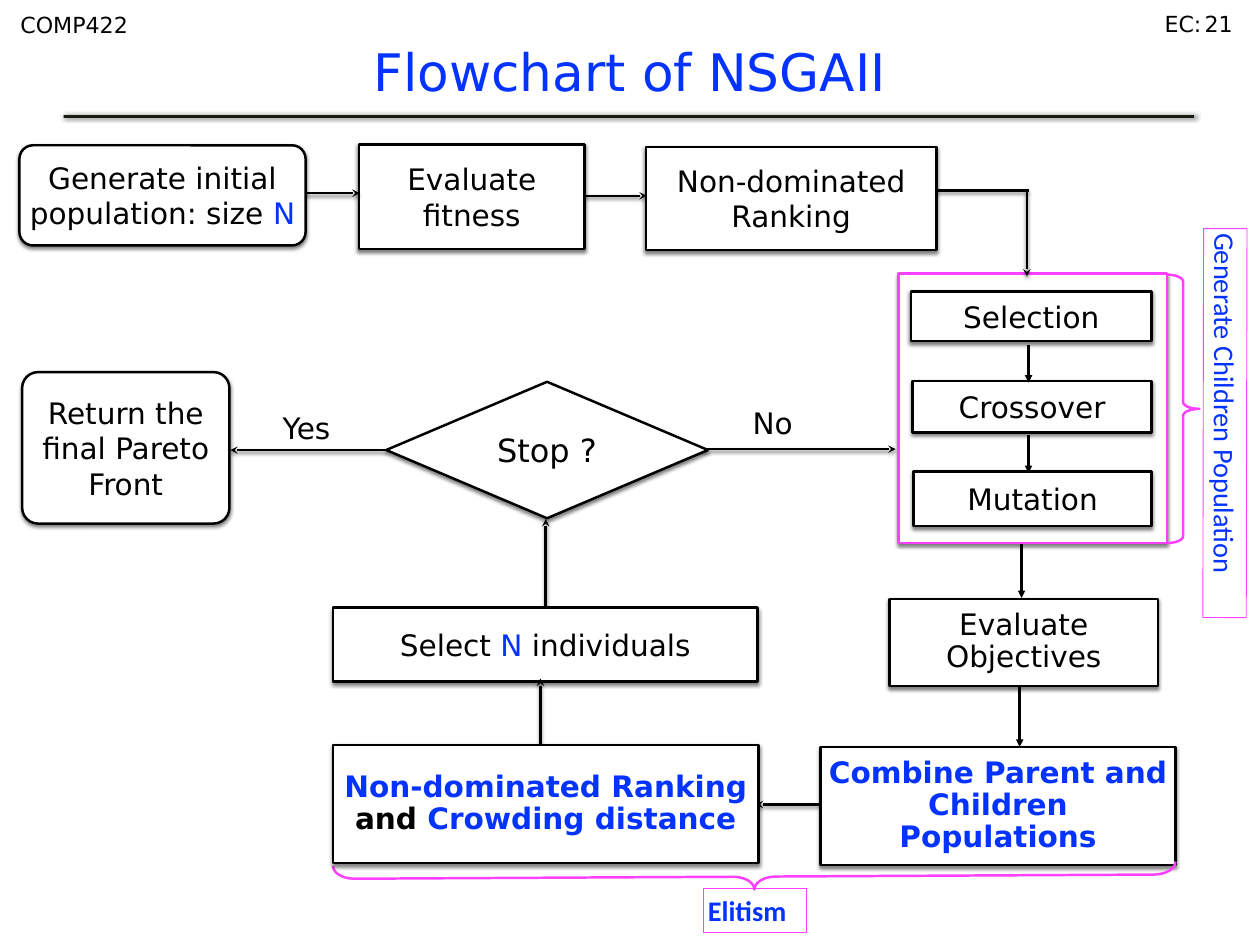
from dataclasses import dataclass

from lxml import etree
from pptx import Presentation
from pptx import util as u
from pptx.dml import color
from pptx.enum import shapes, text
from pptx.oxml import ns

Kind = shapes.MSO_SHAPE
Align = text.PP_ALIGN
Anchor = text.MSO_ANCHOR


@dataclass(frozen=True)
class Theme:
    black: str = "000000"
    white: str = "FFFFFF"
    blue: str = "0433FF"
    pink: str = "FF40FF"
    rule: str = "171C13"
    font: str = "DejaVu Sans"
    label_font: str = "Calibri"
    title: float = 42
    decision: float = 26
    body: float = 24
    label: float = 23
    header: float = 18
    line: float = 2
    thin_line: float = 0.75


THEME = Theme()
Run = tuple[str, str]  # wording and colour


@dataclass(frozen=True)
class Step:
    """A filled, shadowed box of the flowchart."""
    left: float
    top: float
    width: float
    height: float
    runs: tuple[Run, ...] = ()
    kind: Kind = Kind.RECTANGLE
    corner: float | None = None
    outline: str = THEME.black
    size: float = THEME.body
    bold: bool = False
    spacing: float = 1.0


@dataclass(frozen=True)
class Label:
    """A text box, with a thin outline if one is named."""
    left: float
    top: float
    width: float
    height: float
    wording: str
    size: float = THEME.header
    font: str = THEME.font
    colour: str = THEME.black
    bold: bool = False
    align: Align = Align.LEFT
    anchor: Anchor = Anchor.TOP
    inset: float = 3.6
    outline: str | None = None
    rotation: float = 0
    wrap: bool = True


@dataclass(frozen=True)
class Arrow:
    start: tuple[float, float]
    end: tuple[float, float]
    head: str | None = "stealth"
    shadow: bool = True


@dataclass(frozen=True)
class Brace:
    left: float
    top: float
    width: float
    height: float
    curl: float
    rotation: float = 0


def plain(wording: str, colour: str = THEME.black) -> tuple[Run, ...]:
    return ((wording, colour),)


def rgb(value: str) -> color.RGBColor:
    return color.RGBColor.from_string(value)


def set_line(line, colour: str, width: float = THEME.line) -> None:
    line.color.rgb = rgb(colour)
    line.width = u.Pt(width)


def set_shadow(shape, blur: float = 0, distance: float = 0, angle: int = 0) -> None:
    """Give the shape a half-transparent shadow, or none when blur is 0."""
    effects = etree.SubElement(shape.element.spPr, ns.qn("a:effectLst"))
    if blur:
        outer = etree.SubElement(
            effects, ns.qn("a:outerShdw"), blurRad=str(u.Pt(blur)),
            dist=str(u.Pt(distance)), dir=str(angle * 60000), rotWithShape="0")
        tint = etree.SubElement(outer, ns.qn("a:srgbClr"), val=THEME.black)
        etree.SubElement(tint, ns.qn("a:alpha"), val="50000")


def write_text(shape, runs: tuple[Run, ...], *, size: float, font: str = THEME.font,
               bold: bool = False, align: Align = Align.CENTER,
               anchor: Anchor = Anchor.MIDDLE, inset: float = 4.32,
               spacing: float = 1.0, wrap: bool = True) -> None:
    frame = shape.text_frame
    frame.auto_size = text.MSO_AUTO_SIZE.NONE
    frame.word_wrap = wrap
    frame.vertical_anchor = anchor
    frame.margin_left = frame.margin_right = u.Pt(inset)
    frame.margin_top = frame.margin_bottom = u.Pt(inset)
    paragraph = frame.paragraphs[0]
    paragraph.alignment = align
    paragraph.line_spacing = spacing
    for wording, colour in runs:
        run = paragraph.add_run()
        run.text = wording
        run.font.size = u.Pt(size)
        run.font.name = font
        run.font.bold = bold
        run.font.color.rgb = rgb(colour)


def bounds(part: Step | Label | Brace) -> list[u.Pt]:
    return [u.Pt(value) for value in (part.left, part.top, part.width, part.height)]


def draw_step(slide, step: Step) -> None:
    shape = slide.shapes.add_shape(step.kind, *bounds(step))
    if step.corner is not None:
        shape.adjustments[0] = step.corner
    shape.fill.solid()
    shape.fill.fore_color.rgb = rgb(THEME.white)
    set_line(shape.line, step.outline)
    set_shadow(shape, 3, 2, 90)
    if step.runs:
        write_text(shape, step.runs, size=step.size, bold=step.bold, spacing=step.spacing)


def draw_label(slide, label: Label) -> None:
    shape = slide.shapes.add_textbox(*bounds(label))
    shape.rotation = label.rotation
    if label.outline:
        set_line(shape.line, label.outline, THEME.thin_line)
    write_text(shape, plain(label.wording, label.colour), size=label.size, font=label.font,
               bold=label.bold, align=label.align, anchor=label.anchor,
               inset=label.inset, wrap=label.wrap)


def draw_arrow(slide, arrow: Arrow) -> None:
    ends = [u.Pt(value) for value in (*arrow.start, *arrow.end)]
    connector = slide.shapes.add_connector(shapes.MSO_CONNECTOR.STRAIGHT, *ends)
    set_line(connector.line, THEME.black)
    if arrow.head:
        etree.SubElement(connector.element.spPr.find(ns.qn("a:ln")),
                         ns.qn("a:tailEnd"), type=arrow.head)
    set_shadow(connector, *((3, 2, 90) if arrow.shadow else ()))


def draw_brace(slide, brace: Brace) -> None:
    shape = slide.shapes.add_shape(Kind.RIGHT_BRACE, *bounds(brace))
    shape.adjustments[0] = brace.curl
    shape.rotation = brace.rotation
    shape.fill.background()
    set_line(shape.line, THEME.pink)
    shape.shadow.inherit = False


DRAW = {Step: draw_step, Label: draw_label, Arrow: draw_arrow, Brace: draw_brace}

HEADER = (
    Label(11.5, 4.3, 260.6, 31.7, "COMP422", inset=5),
    Label(887.8, 5, 92.2, 29.5, "EC:", align=Align.RIGHT),
    Label(965.5, 5, 49.7, 29.5, "21", align=Align.CENTER),
)
CAPTION = dict(size=THEME.label, font=THEME.label_font, colour=THEME.blue, outline=THEME.pink)
ANSWER = dict(size=THEME.body, align=Align.CENTER, anchor=Anchor.MIDDLE, inset=4.32, wrap=False)

# Back to front: some boxes cover the ends of their arrows
FLOWCHART = (
    Arrow((828.7, 536.4), (828.7, 607), "triangle", False),
    Arrow((830.2, 427.7), (830.2, 486), "triangle", False),
    Step(722.9, 486.7, 218.2, 70.6, plain("Evaluate Objectives"), spacing=0.9),
    Arrow((525.6, 365), (727.9, 365)),
    Arrow((443.5, 492.5), (443.5, 421.9)),
    Arrow((314.6, 365.8), (187.2, 365.8)),
    Arrow((468.7, 159.1), (525.6, 159.1)),
    Step(291.6, 117.4, 183.6, 85, plain("Evaluate fitness")),
    Step(313.9, 310.3, 261.4, 110.9, plain("Stop ?"), Kind.DIAMOND, size=THEME.decision),
    Step(18, 302.4, 168.5, 123.1, plain("Return the final Pareto Front"),
         Kind.ROUNDED_RECTANGLE, 0.105),
    Arrow((229.7, 157), (292.3, 157)),
    Step(15.8, 118.1, 232.6, 81.4,
         (("Generate initial population: size ", THEME.black), ("N", THEME.blue)),
         Kind.ROUNDED_RECTANGLE, 0.136),
    Label(224.6, 329, 49, 36.7, "Yes", **ANSWER),
    Label(607, 325.4, 41.8, 36.7, "No", **ANSWER),
    # Children population
    Step(730.1, 222.5, 218.2, 218.9, outline=THEME.pink),
    Step(740.2, 236.9, 195.8, 40.3, plain("Selection")),
    Step(741.6, 309.6, 194.4, 41.8, plain("Crossover")),
    Step(742.3, 383, 193.7, 44.6, plain("Mutation")),
    Arrow((835.9, 280.1), (835.9, 311), "triangle", False),
    Arrow((835.9, 353.5), (835.9, 384.5), "triangle", False),
    Arrow((834.5, 154.8), (834.5, 224.6)),
    Arrow((713.5, 154.8), (835.9, 154.8), None),
    Step(524.9, 119.5, 236.2, 83.5, plain("Non-dominated Ranking")),
    Step(270.7, 493.9, 344.9, 59.8, (("Select ", THEME.black), ("N", THEME.blue),
                                     (" individuals", THEME.black))),
    Arrow((680.4, 653.8), (614.2, 653.8)),
    Arrow((439.2, 613.4), (439.2, 551.5)),
    Label(837.4, 326.2, 316.1, 35.3, "Generate Children Population", rotation=90.1, **CAPTION),
    Brace(948.2, 223.2, 26.6, 218.2, 0.21),
    # Elitism
    Step(666.7, 607, 288.7, 95.8, plain("Combine Parent and Children Populations", THEME.blue),
         bold=True, spacing=0.9),
    Brace(602.6, 370.1, 20.9, 684.7, 0.83, 89.7),
    Label(571.7, 722.2, 83.5, 35.3, "Elitism", bold=True, **CAPTION),
    Step(270.7, 605.5, 345.6, 95.8,
         (("Non-dominated Ranking ", THEME.blue), ("and", THEME.black),
          (" Crowding distance", THEME.blue)), bold=True, spacing=0.9),
)


def draw_title(slide) -> None:
    title = slide.shapes.title
    title.left, title.top, title.width, title.height = map(u.Pt, (-2.2, 32.4, 1028.2, 61.2))
    write_text(title, plain("Flowchart of NSGAII", THEME.blue), size=THEME.title,
               anchor=Anchor.TOP, inset=0)
    rule = slide.shapes.add_shape(Kind.RECTANGLE, *map(u.Pt, (51.8, 93.6, 918.7, 2.2)))
    rule.fill.solid()
    rule.fill.fore_color.rgb = rgb(THEME.rule)
    rule.line.fill.background()
    set_shadow(rule, 4, 1)


def main() -> None:
    presentation = Presentation()
    presentation.slide_width, presentation.slide_height = u.Pt(1024), u.Pt(768)
    slide = presentation.slides.add_slide(presentation.slide_layouts[5])
    draw_title(slide)
    for part in HEADER + FLOWCHART:
        DRAW[type(part)](slide, part)
    presentation.save("out.pptx")


if __name__ == "__main__":
    main()
